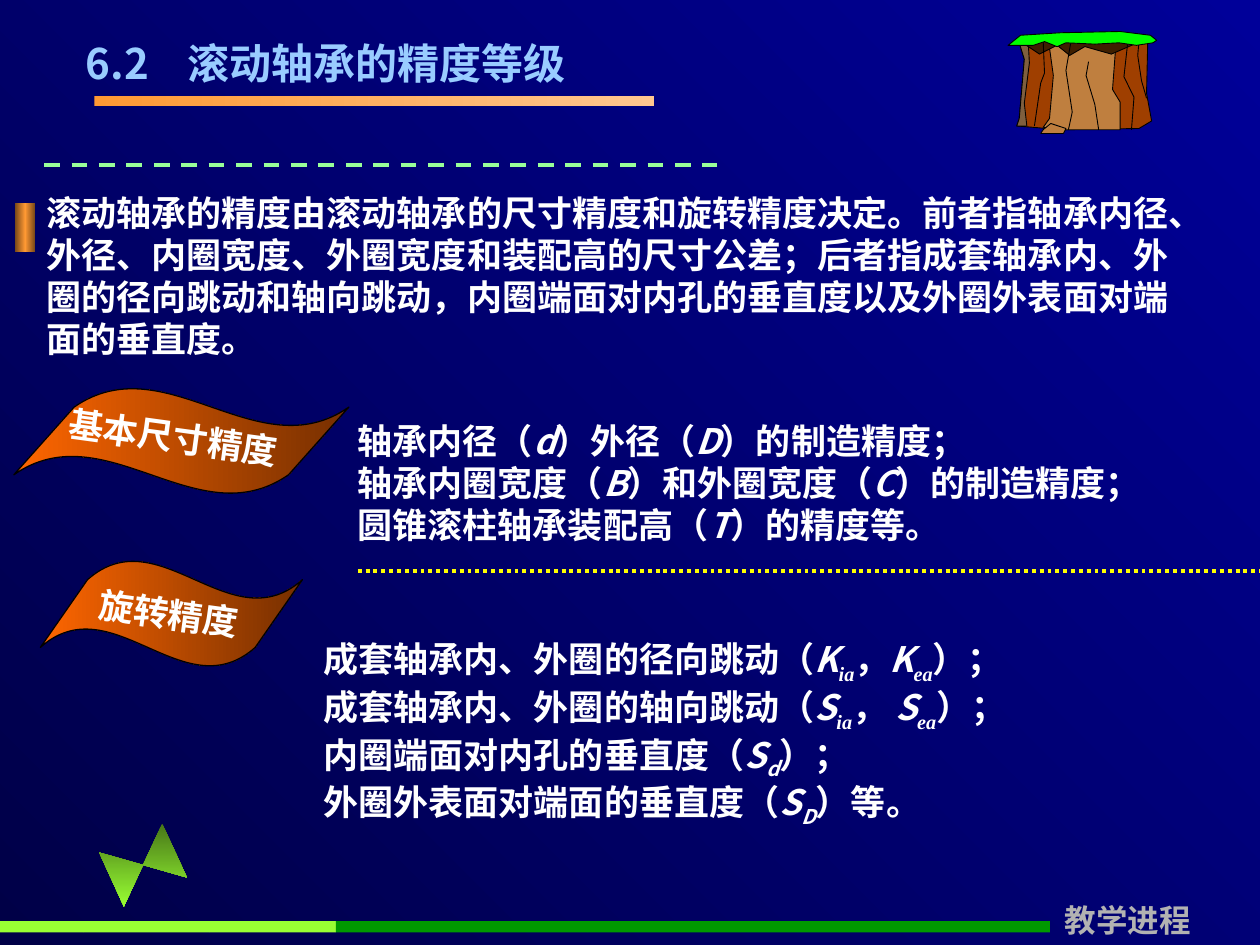
"""Build the slide on the accuracy grades of rolling bearings."""
from copy import deepcopy

from lxml.etree import SubElement
from pptx import Presentation
from pptx.dml.color import RGBColor
from pptx.enum.dml import MSO_LINE
from pptx.enum.shapes import MSO_CONNECTOR, MSO_SHAPE
from pptx.enum.text import MSO_ANCHOR, MSO_AUTO_SIZE, PP_ALIGN
from pptx.oxml.ns import qn
from pptx.util import Inches, Pt

SANS, SERIF = "Noto Sans CJK SC", "Times New Roman"
WHITE = RGBColor.from_string("FFFFFF")
BLACK = RGBColor.from_string("000000")
GRAY = RGBColor.from_string("B2B2B2")
SKY = RGBColor.from_string("99CCFF")
NIGHT = RGBColor.from_string("000047")
NAVY = RGBColor.from_string("000099")
MINT = RGBColor.from_string("99FF99")
YELLOW = RGBColor.from_string("FFFF00")
LIME = RGBColor.from_string("99FF33")
OLIVE = RGBColor.from_string("477618")
GREEN = RGBColor.from_string("009900")
GRASS = RGBColor.from_string("00FF00")
ORANGE = RGBColor.from_string("FF9933")
PEACH = RGBColor.from_string("FFC790")
BRONZE = RGBColor.from_string("764718")
FLAME = RGBColor.from_string("FF6600")
RUST = RGBColor.from_string("762F00")
BARK = RGBColor.from_string("9F3F00")
SHADE = RGBColor.from_string("7F5F3F")
TAN = RGBColor.from_string("BF7F3F")
SOIL = RGBColor.from_string("3F1F00")

STYLES = {
    "plain": (SERIF, False, False),
    "sans": (SANS, False, False),
    "symbol": (SANS, True, False),
    "index": (SERIF, True, True),
    "letter": (SANS, True, True),
}
TITLE = [[("6.2\t滚动轴承的精度等级", "sans")]]
SUMMARY = [[(
    "滚动轴承的精度由滚动轴承的尺寸精度和旋转精度决定。前者指轴承内径、外径、内圈宽度、"
    "外圈宽度和装配高的尺寸公差；后者指成套轴承内、外圈的径向跳动和轴向跳动，"
    "内圈端面对内孔的垂直度以及外圈外表面对端面的垂直度。", "sans")]]
SIZES = [
    [("轴承内径（", "plain"), ("d", "symbol"), ("）外径（", "plain"), ("D", "symbol"),
     ("）的制造精度；", "plain")],
    [("轴承内圈宽度（", "sans"), ("B", "symbol"), ("）和外圈宽度（", "sans"), ("C", "symbol"),
     ("）的制造精度；", "sans")],
    [("圆锥滚柱轴承装配高（", "sans"), ("T", "symbol"), ("）的精度等。", "sans")],
]
ROTATIONS = [
    [("成套轴承内、外圈的径向跳动（", "plain"), ("K", "symbol"), ("ia", "index"), ("，", "plain"),
     ("K", "symbol"), ("ea", "index"), ("）；", "plain")],
    [("成套轴承内、外圈的轴向跳动（", "plain"), ("S", "symbol"), ("ia", "index"), ("， ", "plain"),
     ("S", "symbol"), ("ea", "index"), ("）；", "plain")],
    [("内圈端面对内孔的垂直度（", "plain"), ("S", "symbol"), ("d", "letter"), ("）；", "plain")],
    [("外圈外表面对端面的垂直度（", "sans"), ("S", "symbol"), ("D", "letter"), ("）等。", "sans")],
]
WAVES = [
    ("基本尺寸精度", (0.11, 3.08, 2.66, 0.84), (0.44, 3.27)),
    ("旋转精度", (0.32, 4.45, 2.08, 0.84), (0.68, 4.71)),
]
STUMP_CORNER = (8, 0.25)
STUMP = [
    (BARK, [(8, 6), (13, 22), (9, 69), (7, 75), (43, 78), (104, 77), (114, 71), (110, 49), (111, 6)]),
    (SHADE, [(8, 6), (13, 22), (9, 69), (7, 75), (15, 75), (13, 57), (17, 25), (16, 6)]),
    (TAN, [(32, 6), (36, 35), (33, 69), (28, 76), (42, 78), (89, 78), (89, 56), (83, 46), (86, 6)]),
    (SOIL, [(7, 6), (25, 18), (39, 11), (49, 19), (61, 12), (82, 18), (112, 5)]),
    (None, [(28, 8), (29, 33), (26, 41), (21, 75)]),
    (None, [(50, 8), (46, 31), (51, 64), (48, 78)]),
    (None, [(64, 24), (62, 35), (69, 58), (72, 78)]),
    (None, [(95, 9), (92, 36), (100, 52), (98, 78)]),
    (None, [(104, 8), (103, 19), (106, 39), (110, 53)]),
    (GRASS, [(0, 11), (10, 3), (42, 1), (89, 0), (113, 3), (118, 7), (115, 9), (102, 11), (88, 9),
             (69, 10), (46, 9), (39, 12), (29, 8), (20, 11)]),
    (TAN, [(34, 73), (28, 78), (26, 81), (44, 81), (46, 77)]),
]


def set_gradient(fill, element, stops, angle=0):
    fill.gradient()
    fill.gradient_angle = angle
    stop_list = element.xpath(".//a:gsLst")[0]
    while len(stop_list) < len(stops):
        stop_list.append(deepcopy(stop_list[0]))
    for index, (stop, color) in enumerate(zip(fill.gradient_stops, stops)):
        stop.position = index / (len(stops) - 1)
        stop.color.rgb = color


def add_block(page, preset, place, colors, angle=0):
    block = page.shapes.add_shape(preset, *map(Inches, place))
    block.shadow.inherit = False
    block.line.fill.background()
    if len(colors) > 1:
        set_gradient(block.fill, block.element, colors, angle)
    else:
        block.fill.solid()
        block.fill.fore_color.rgb = colors[0]
    return block


def write(box, lines, size=20, color=WHITE, align=PP_ALIGN.LEFT):
    frame = box.text_frame
    frame.word_wrap = True
    frame.auto_size = MSO_AUTO_SIZE.NONE
    frame.vertical_anchor = MSO_ANCHOR.TOP
    for index, line in enumerate(lines):
        para = frame.add_paragraph() if index else frame.paragraphs[0]
        para.alignment = align
        para.space_before = Pt(0)
        for text, style in line:
            span = para.add_run()
            span.text = text
            font = span.font
            font.name, font.italic, lowered = STYLES[style]
            font.size, font.bold, font.color.rgb = Pt(size), True, color
            props = span._r.get_or_add_rPr()
            SubElement(props, qn("a:ea")).set("typeface", SANS)
            if lowered:
                props.set("baseline", "-25000")


def add_text(page, place, lines, **look):
    box = page.shapes.add_textbox(*map(Inches, place))
    write(box, lines, **look)
    return box


def add_rule(page, left, right, top, color, dash):
    ends = map(Inches, (left, top, right, top))
    rule = page.shapes.add_connector(MSO_CONNECTOR.STRAIGHT, *ends)
    rule.line.color.rgb, rule.line.width, rule.line.dash_style = color, Pt(2.25), dash
    SubElement(rule.element.spPr, qn("a:effectLst"))


def add_stump(page):
    group = page.shapes.add_group_shape()
    for color, points in STUMP:
        builder = group.shapes.build_freeform(*points[0], scale=Inches(0.01))
        builder.add_line_segments(points[1:], close=color is not None)
        part = builder.convert_to_shape(*map(Inches, STUMP_CORNER))
        part.shadow.inherit = False
        part.line.color.rgb, part.line.width = BLACK, Pt(0.5)
        if color is None:
            part.fill.background()
        else:
            part.fill.solid()
            part.fill.fore_color.rgb = color


def main():
    deck = Presentation()
    deck.slide_width, deck.slide_height = Inches(10), Inches(7.5)
    page = deck.slides.add_slide(deck.slide_layouts[5])
    set_gradient(page.background.fill, page.element, [NIGHT, NAVY], 45)

    title = page.shapes.title
    title.left, title.top, title.width, title.height = map(Inches, (0.58, 0.25, 4.73, 0.5))
    tabs = SubElement(title.text_frame.paragraphs[0]._p.get_or_add_pPr(), qn("a:tabLst"))
    SubElement(tabs, qn("a:tab"), pos=str(Inches(0.81)), algn="l")
    write(title, TITLE, size=24, color=SKY)
    add_block(page, MSO_SHAPE.RECTANGLE, (0.75, 0.76, 4.44, 0.08), [ORANGE, PEACH])
    add_rule(page, 0.35, 5.69, 1.31, MINT, MSO_LINE.DASH)
    add_block(page, MSO_SHAPE.RECTANGLE, (0.12, 1.61, 0.16, 0.39), [BRONZE, ORANGE, BRONZE])
    add_text(page, (0.27, 1.47, 9.37, 1.44), SUMMARY)

    for label, place, corner in WAVES:
        wave = add_block(page, MSO_SHAPE.WAVE, place, [FLAME, RUST])
        wave.adjustments[0], wave.adjustments[1] = 0.18, -0.09
        wave.line.color.rgb, wave.line.width = BLACK, Pt(0.75)
        add_text(page, (*corner, 2.16, 0.44), [[(label, "sans")]]).rotation = 7.8
    add_text(page, (2.74, 3.28, 7.75, 1.1), SIZES)
    add_rule(page, 2.84, 10.09, 4.53, YELLOW, MSO_LINE.ROUND_DOT)
    add_text(page, (2.47, 5.01, 7.83, 1.62), ROTATIONS, align=PP_ALIGN.JUSTIFY)

    collate = add_block(page, MSO_SHAPE.FLOWCHART_COLLATE, (0.9, 6.59, 0.47, 0.55), [OLIVE, LIME], 335)
    collate.rotation = 65.4
    for index in range(25):
        place = (index / 3, 7.31, 1 / 3, 0.09)
        add_block(page, MSO_SHAPE.RECTANGLE, place, [LIME if index < 8 else GREEN])
    add_text(page, (8.35, 7.1, 1.42, 0.4), [[("教学进程", "sans")]], size=18, color=GRAY)
    add_stump(page)
    deck.save("out.pptx")


if __name__ == "__main__":
    main()
